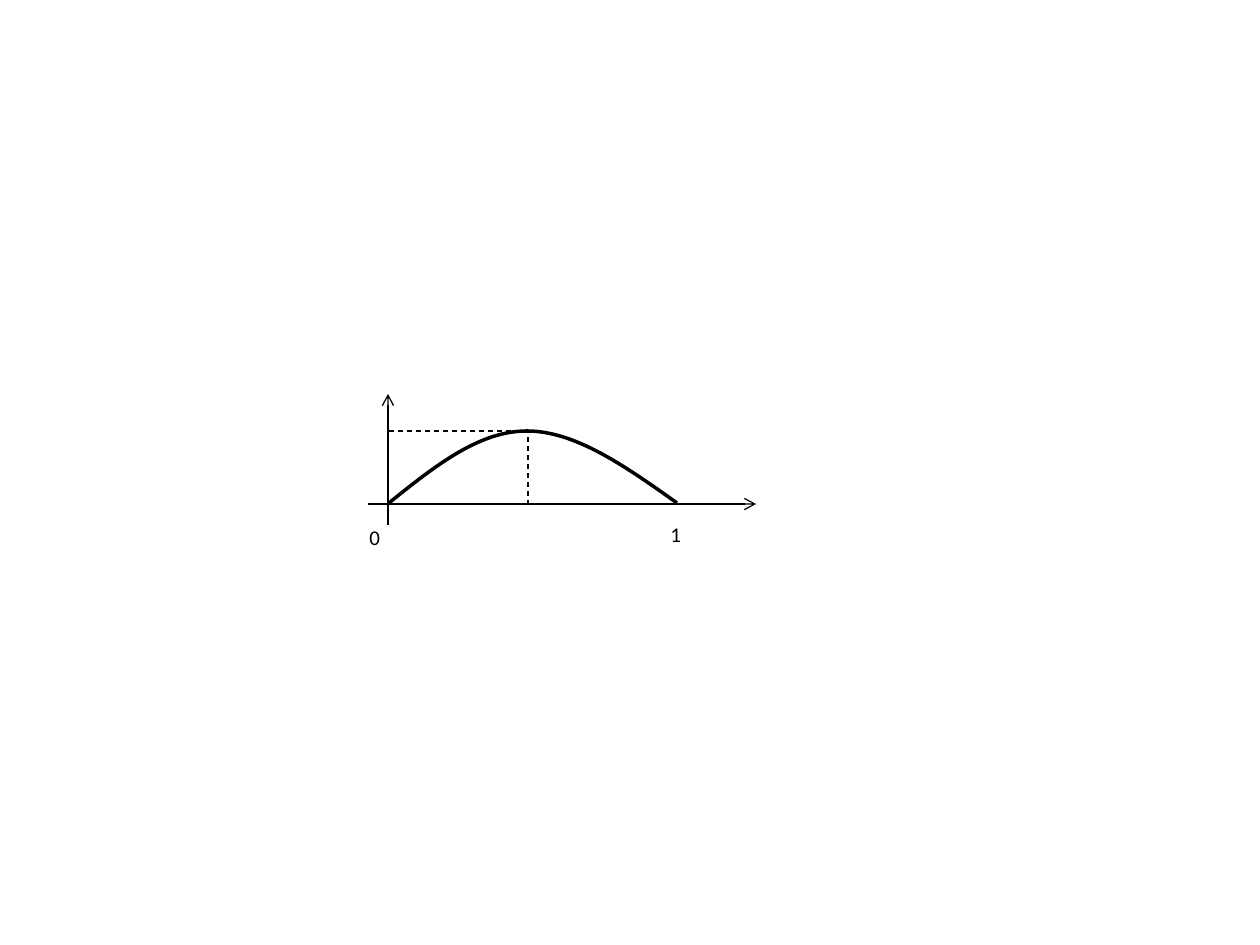
from lxml import etree
from pptx import Presentation
from pptx.dml.color import RGBColor
from pptx.enum.dml import MSO_LINE_DASH_STYLE as Dash
from pptx.enum.shapes import MSO_CONNECTOR_TYPE as Connector
from pptx.enum.text import MSO_AUTO_SIZE as AutoSize
from pptx.oxml.ns import qn
from pptx.util import Emu, Pt

PX = 914400 / 126
COLORS = {"ink": "000000"}
FONT = "Calibri"
CURVE_STEPS = 32


def px(value):
    return Emu(round(value * PX))


def bezier(start, first, second, end):
    for step in range(1, CURVE_STEPS + 1):
        t = step / CURVE_STEPS
        u = 1 - t
        yield tuple(
            px(u**3 * a + 3 * u**2 * t * b + 3 * u * t**2 * c + t**3 * d)
            for a, b, c, d in zip(start, first, second, end)
        )


class Sketch:
    def __init__(self, slide):
        self.slide = slide
        self.ink = RGBColor.from_string(COLORS["ink"])

    def stroke(self, shape, width):
        shape.line.color.rgb = self.ink
        shape.line.width = Pt(width)

    def line(self, start, end, dash=None, arrow=False):
        connector = self.slide.shapes.add_connector(
            Connector.STRAIGHT, *map(px, start + end)
        )
        self.stroke(connector, 0.75)
        if dash:
            connector.line.dash_style = dash
        properties = connector._element.spPr
        if arrow:
            outline = properties.find(qn("a:ln"))
            etree.SubElement(outline, qn("a:tailEnd"), type="arrow")
        etree.SubElement(properties, qn("a:effectLst"))

    def curve(self, start, *segments):
        builder = self.slide.shapes.build_freeform(*map(px, start))
        for first, second, end in segments:
            builder.add_line_segments(
                list(bezier(start, first, second, end)), close=False
            )
            start = end
        shape = builder.convert_to_shape()
        shape.shadow.inherit = False
        shape.fill.background()
        self.stroke(shape, 2)

    def label(self, text, left, top):
        shape = self.slide.shapes.add_textbox(px(left), px(top), px(37), px(38))
        frame = shape.text_frame
        frame.word_wrap = False
        frame.auto_size = AutoSize.SHAPE_TO_FIT_TEXT
        run = frame.paragraphs[0].add_run()
        run.text = text
        run.font.name = FONT
        run.font.size = Pt(12)
        run.font.color.rgb = self.ink


def main():
    presentation = Presentation()
    presentation.slide_width = px(1260)
    presentation.slide_height = px(945)
    slide = presentation.slides.add_slide(presentation.slide_layouts[6])
    sketch = Sketch(slide)

    sketch.line((368, 504), (756, 504), arrow=True)
    sketch.line((388, 525), (388, 394), arrow=True)
    sketch.curve(
        (389, 503),
        ((435, 466), (479, 431), (527, 431)),
        ((575, 431), (625, 466), (677, 503)),
    )
    sketch.label("0", 357, 518)
    sketch.label("1", 658, 515)
    sketch.line((389, 431), (533, 431), dash=Dash.DASH)
    sketch.line((528, 505), (528, 432), dash=Dash.DASH)

    presentation.save("out.pptx")


if __name__ == "__main__":
    main()
